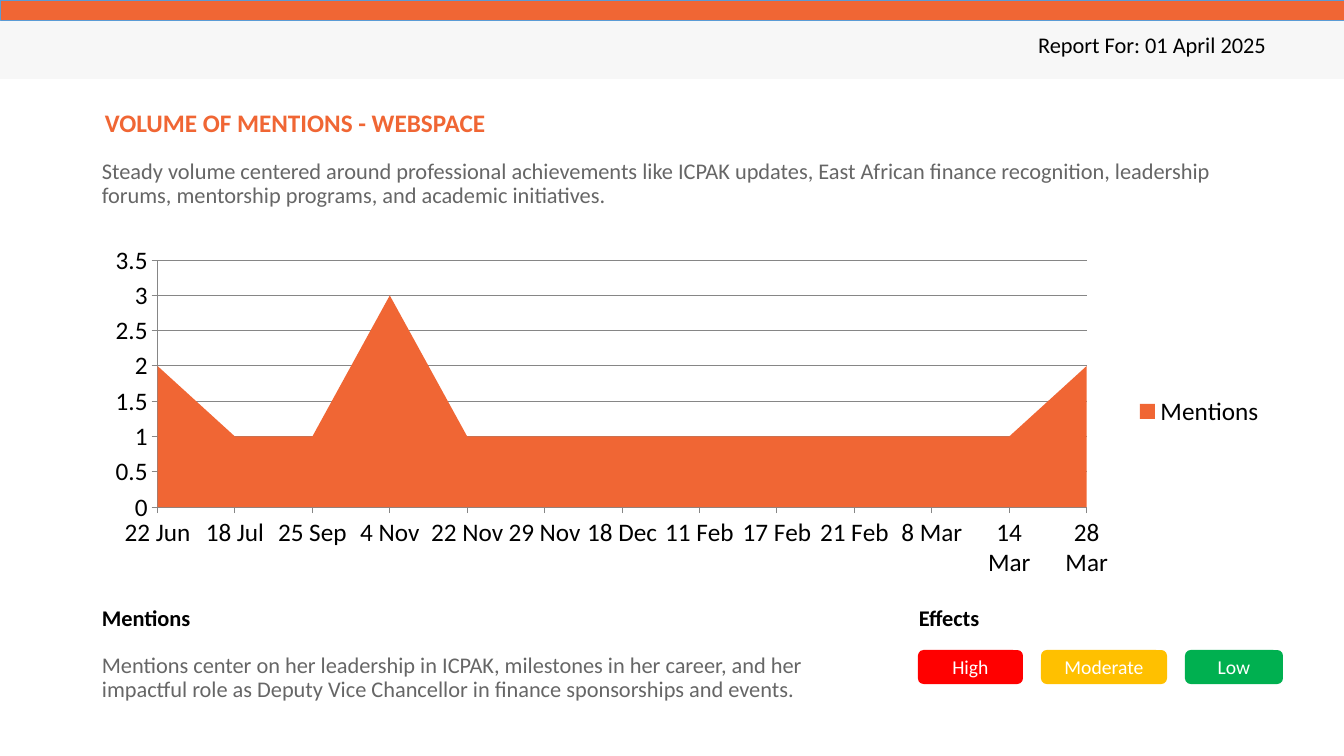
from dataclasses import dataclass

import pptx
import pptx.chart.data
import pptx.dml.color
import pptx.enum.chart
import pptx.enum.shapes
import pptx.enum.text
import pptx.util

EMU_PER_PX = 914400 / 100.8
FONT = "Calibri"
ORANGE = "F06634"
PALE = "F7F7F7"
GREY = "666666"
BLACK = "000000"
WHITE = "FFFFFF"
SHAPE = pptx.enum.shapes.MSO_SHAPE
ALIGN = pptx.enum.text.PP_ALIGN
ANCHOR = pptx.enum.text.MSO_ANCHOR


@dataclass(frozen=True)
class Box:
    x: int
    y: int
    w: int
    h: int


@dataclass(frozen=True)
class Label:
    box: Box
    text: str
    size: int = 16
    color: str = BLACK
    bold: bool = False
    wrap: bool = True
    spacing: float = 1.0


@dataclass(frozen=True)
class Panel:
    box: Box
    fill: str
    kind: int = SHAPE.RECTANGLE
    line: str = ""
    text: str = ""
    size: int = 14
    color: str = WHITE
    align: int = ALIGN.CENTER
    spacing: float = 1.0


def px(n: int) -> int:
    return round(n * EMU_PER_PX)


def rgb(value: str) -> pptx.dml.color.RGBColor:
    return pptx.dml.color.RGBColor.from_string(value)


def place(box: Box) -> tuple:
    return px(box.x), px(box.y), px(box.w), px(box.h)


def set_all(target, values: dict) -> None:
    for name, value in values.items():
        setattr(target, name, value)


def write(tf, text: str, size: int, color: str, bold: bool, align: int, spacing: float) -> None:
    p = tf.paragraphs[0]
    set_all(p, {"alignment": align, "line_spacing": spacing})
    r = p.add_run()
    r.text = text
    set_all(r.font, {"name": FONT, "size": pptx.util.Pt(size), "bold": bold})
    r.font.color.rgb = rgb(color)


def add_label(s, label: Label) -> None:
    tf = s.shapes.add_textbox(*place(label.box)).text_frame
    tf.word_wrap = label.wrap
    write(tf, label.text, label.size, label.color, label.bold, ALIGN.LEFT, label.spacing)


def add_panel(s, panel: Panel) -> None:
    sp = s.shapes.add_shape(panel.kind, *place(panel.box))
    sp.shadow.inherit = False
    sp.fill.solid()
    sp.fill.fore_color.rgb = rgb(panel.fill)
    if panel.line:
        sp.line.color.rgb = rgb(panel.line)
        sp.line.width = pptx.util.Pt(0.5)
    else:
        sp.line.fill.background()
    if panel.text:
        tf = sp.text_frame
        set_all(tf, {"word_wrap": True, "vertical_anchor": ANCHOR.MIDDLE})
        write(tf, panel.text, panel.size, panel.color, False, panel.align, panel.spacing)


def add_mentions_chart(s, box: Box) -> None:
    data = pptx.chart.data.CategoryChartData()
    data.categories = ["22 Jun", "18 Jul", "25 Sep", "4 Nov", "22 Nov", "29 Nov", "18 Dec",
                       "11 Feb", "17 Feb", "21 Feb", "8 Mar", "14 Mar", "28 Mar"]
    data.add_series("Mentions", [2, 1, 1, 3, 1, 1, 1, 1, 1, 1, 1, 1, 2])
    kind = pptx.enum.chart.XL_CHART_TYPE.AREA
    chart = s.shapes.add_chart(kind, *place(box), data).chart
    set_all(chart, {"has_title": False, "has_legend": True})
    set_all(chart.font, {"name": FONT, "size": pptx.util.Pt(18)})
    chart.font.color.rgb = rgb(BLACK)
    set_all(chart.legend, {"position": pptx.enum.chart.XL_LEGEND_POSITION.RIGHT,
                           "include_in_layout": False})
    chart.plots[0].vary_by_categories = False
    fill = chart.plots[0].series[0].format.fill
    fill.solid()
    fill.fore_color.rgb = rgb(ORANGE)
    tick = pptx.enum.chart.XL_TICK_MARK
    for axis, grid in ((chart.category_axis, False), (chart.value_axis, True)):
        set_all(axis, {"major_tick_mark": tick.OUTSIDE, "minor_tick_mark": tick.NONE,
                       "has_major_gridlines": grid})
        axis.format.line.color.rgb = rgb("868686")
    chart.value_axis.major_gridlines.format.line.color.rgb = rgb("868686")


def add_effects(s) -> None:
    x, gap = 918, 18
    for text, fill, width in (("High", "FF0000", 105), ("Moderate", "FFC000", 126),
                              ("Low", "00B050", 98)):
        box = Box(x, 650, width, 34)
        add_panel(s, Panel(box, fill, SHAPE.FLOWCHART_ALTERNATE_PROCESS, text=text))
        x += width + gap


LABELS = [
    Label(Box(92, 599, 110, 37), "Mentions", bold=True, wrap=False),
    Label(Box(909, 599, 83, 37), "Effects", bold=True, wrap=False),
    Label(Box(95, 106, 1180, 29), "VOLUME OF MENTIONS - WEBSPACE", 18, ORANGE, True, spacing=0.9),
    Label(Box(92, 155, 1183, 57),
          "Steady volume centered around professional achievements like ICPAK updates, "
          "East African finance recognition, leadership forums, mentorship programs, "
          "and academic initiatives.", color=GREY, spacing=0.9),
    Label(Box(92, 649, 795, 93),
          "Mentions center on her leadership in ICPAK, milestones in her career, and her "
          "impactful role as Deputy Vice Chancellor in finance sponsorships and events.",
          color=GREY, spacing=0.9),
]


def main() -> None:
    prs = pptx.Presentation()
    set_all(prs, {"slide_width": px(1344), "slide_height": px(756)})
    s = prs.slides.add_slide(prs.slide_layouts[6])
    add_panel(s, Panel(Box(0, 20, 1344, 59), PALE))
    add_panel(s, Panel(Box(940, 16, 336, 60), PALE, text="Report For: 01 April 2025",
                       size=16, color=BLACK, align=ALIGN.RIGHT, spacing=0.9))
    for label in LABELS:
        add_label(s, label)
    add_effects(s)
    add_mentions_chart(s, Box(92, 238, 1183, 347))
    add_panel(s, Panel(Box(0, 0, 1344, 20), ORANGE, line="5B9BD5"))
    prs.save("out.pptx")


if __name__ == "__main__":
    main()
